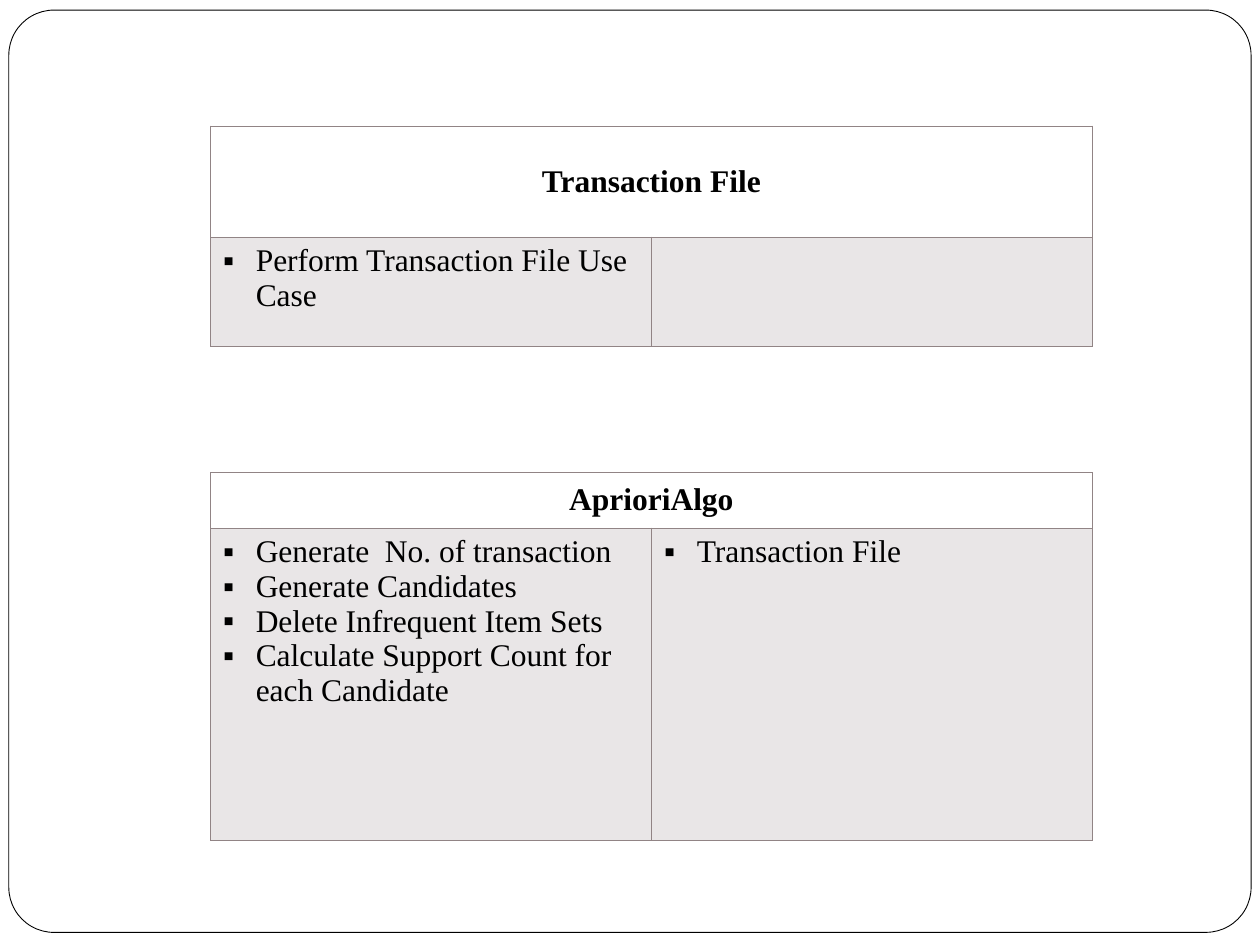
from lxml import etree
from pptx import Presentation
from pptx.dml.color import RGBColor
from pptx.enum.shapes import MSO_SHAPE
from pptx.enum.text import MSO_ANCHOR, PP_ALIGN
from pptx.oxml.ns import qn
from pptx.util import Inches, Pt

ROUNDED = MSO_SHAPE.ROUNDED_RECTANGLE
MIDDLE, TOP = MSO_ANCHOR.MIDDLE, MSO_ANCHOR.TOP
CENTER, LEFT = PP_ALIGN.CENTER, PP_ALIGN.LEFT

BLACK, WHITE = "000000", "FFFFFF"
BORDER, BODY_FILL = "918485", "E9E6E7"
BORDER_WIDTH = 0.45
BULLET_INDENT = Inches(0.26)
FONT = {"name": "Times New Roman", "size": Pt(18)}

CARDS = [
    {
        "name": "Transaction File",
        "responsibilities": ["Perform Transaction File Use Case"],
        "collaborators": [],
        "box": (1.67, 1, 7),
        "row_heights": (0.88, 0.87),
    },
    {
        "name": "AprioriAlgo",
        "responsibilities": [
            "Generate  No. of transaction",
            "Generate Candidates",
            "Delete Infrequent Item Sets",
            "Calculate Support Count for each Candidate",
        ],
        "collaborators": ["Transaction File"],
        "box": (1.67, 3.75, 7),
        "row_heights": (0.44, 2.48),
    },
]


def color(hex_value):
    return RGBColor.from_string(hex_value)


def add_frame(slide, left, top, width, height):
    frame = slide.shapes.add_shape(
        ROUNDED, Inches(left), Inches(top), Inches(width), Inches(height))
    frame.adjustments[0] = 0.049
    frame.shadow.inherit = False
    frame.fill.solid()
    frame.fill.fore_color.rgb = color(WHITE)
    frame.line.color.rgb = color(BLACK)
    frame.line.width = Pt(0.5)


def set_borders(cell):
    properties = cell._tc.get_or_add_tcPr()
    for side in ("lnL", "lnR", "lnT", "lnB"):
        line = etree.SubElement(properties, qn(f"a:{side}"), w=str(Pt(BORDER_WIDTH)))
        fill = etree.SubElement(line, qn("a:solidFill"))
        etree.SubElement(fill, qn("a:srgbClr"), val=BORDER)


def add_bullet(paragraph):
    properties = paragraph._p.get_or_add_pPr()
    properties.set("marL", str(BULLET_INDENT))
    properties.set("indent", str(-BULLET_INDENT))
    bullet_color = etree.SubElement(properties, qn("a:buClr"))
    etree.SubElement(bullet_color, qn("a:srgbClr"), val=BLACK)
    etree.SubElement(properties, qn("a:buFont"), typeface=FONT["name"])
    etree.SubElement(properties, qn("a:buChar"), char="▪")


def write_cell(cell, lines, alignment, anchor, bold=False, bulleted=False):
    cell.vertical_anchor = anchor
    for index, line in enumerate(lines):
        text_frame = cell.text_frame
        paragraph = text_frame.paragraphs[0] if index == 0 else text_frame.add_paragraph()
        paragraph.alignment = alignment
        if bulleted:
            add_bullet(paragraph)
        run = paragraph.add_run()
        run.text = line
        for attribute, value in {**FONT, "bold": bold}.items():
            setattr(run.font, attribute, value)
        run.font.color.rgb = color(BLACK)


def add_card(slide, name, responsibilities, collaborators, box, row_heights):
    """Add a class card: its name above responsibilities and collaborators."""
    left, top, width = box
    table = slide.shapes.add_table(
        2, 2, Inches(left), Inches(top), Inches(width), Inches(sum(row_heights))).table
    table.first_row = table.horz_banding = False
    for row, height in zip(table.rows, row_heights):
        row.height = Inches(height)
    for column in table.columns:
        column.width = Inches(width / 2)
    for cell in table.iter_cells():
        set_borders(cell)

    title, title_end = table.rows[0].cells
    title.merge(title_end)
    title.fill.background()
    write_cell(title, [name], CENTER, MIDDLE, bold=True)
    for cell, lines in zip(table.rows[1].cells, (responsibilities, collaborators)):
        cell.fill.solid()
        cell.fill.fore_color.rgb = color(BODY_FILL)
        write_cell(cell, lines, LEFT, TOP, bulleted=True)


def main():
    presentation = Presentation()
    presentation.slide_width = Inches(10)
    presentation.slide_height = Inches(7.5)
    slide = presentation.slides.add_slide(presentation.slide_layouts[6])
    add_frame(slide, 0.07, 0.08, 9.86, 7.32)
    for card in CARDS:
        add_card(slide, **card)
    presentation.save("out.pptx")


if __name__ == "__main__":
    main()
